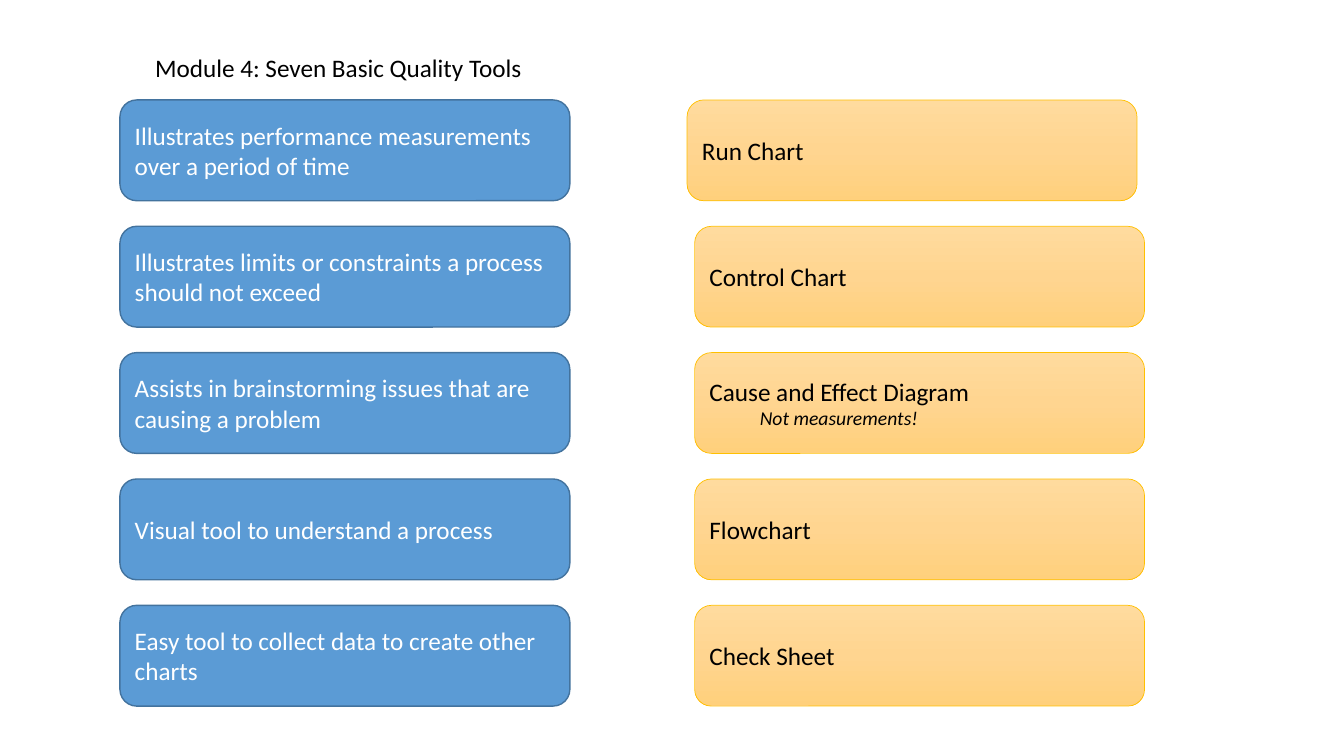
"""Build the slide that matches quality tools to their purposes."""
from copy import deepcopy
from dataclasses import dataclass

from pptx import Presentation
from pptx.dml.color import RGBColor
from pptx.enum import shapes, text
from pptx.oxml import ns
from pptx.util import Pt

BLUE = RGBColor(0x5B, 0x9B, 0xD5)
BLUE_EDGE = RGBColor(0x43, 0x73, 0x9E)
GOLD_EDGE = RGBColor(0xFF, 0xC0, 0x00)
GOLD_STOPS = (
    (0, RGBColor(0xFF, 0xDB, 0x9E)),
    (0.5, RGBColor(0xFF, 0xD5, 0x90)),
    (1, RGBColor(0xFF, 0xD0, 0x7C)),
)
WHITE = RGBColor(0xFF, 0xFF, 0xFF)
BLACK = RGBColor(0x00, 0x00, 0x00)

FONT = "Calibri"
PURPOSE_LEFT = 85.7
TOOL_LEFT = 496.2
FIRST_TOP = 71.4
ROW_PITCH = 90.25
BOX_WIDTH, BOX_HEIGHT = 321.4, 72


@dataclass(frozen=True)
class Match:
    purpose: str
    tool: str
    note: str = ""
    tool_left: float = TOOL_LEFT


MATCHES = (
    Match("Illustrates performance measurements over a period of time", "Run Chart",
          tool_left=490.8),
    Match("Illustrates limits or constraints a process should not exceed", "Control Chart"),
    Match("Assists in brainstorming issues that are causing a problem",
          "Cause and Effect Diagram", note="\tNot measurements!"),
    Match("Visual tool to understand a process", "Flowchart"),
    Match("Easy tool to collect data to create other charts", "Check Sheet"),
)


def write(paragraph, words: str, color: RGBColor, size: float = 18,
          italic: bool = False) -> None:
    paragraph.text = words
    paragraph.alignment = text.PP_ALIGN.LEFT
    font = paragraph.font
    font.name, font.size, font.italic = FONT, Pt(size), italic
    font.color.rgb = color


def add_box(slide, left: float, top: float, edge: RGBColor, edge_width: float):
    shape = slide.shapes.add_shape(shapes.MSO_SHAPE.ROUNDED_RECTANGLE, Pt(left), Pt(top),
                                   Pt(BOX_WIDTH), Pt(BOX_HEIGHT))
    shape.shadow.inherit = False
    shape.line.color.rgb = edge
    shape.line.width = Pt(edge_width)
    shape.text_frame.word_wrap = True
    shape.text_frame.vertical_anchor = text.MSO_ANCHOR.MIDDLE
    return shape


def fill_gold(shape) -> None:
    shape.fill.gradient()
    shape.fill.gradient_angle = 270
    stop_list = shape._element.spPr.find(".//" + ns.qn("a:gsLst"))
    stop_list.insert(1, deepcopy(stop_list[0]))
    for stop, (position, color) in zip(shape.fill.gradient_stops, GOLD_STOPS):
        stop.position = position
        stop.color.rgb = color


def add_match(slide, match: Match, top: float) -> None:
    purpose = add_box(slide, PURPOSE_LEFT, top, BLUE_EDGE, 1)
    purpose.fill.solid()
    purpose.fill.fore_color.rgb = BLUE
    write(purpose.text_frame.paragraphs[0], match.purpose, WHITE)

    tool = add_box(slide, match.tool_left, top, GOLD_EDGE, 0.5)
    fill_gold(tool)
    write(tool.text_frame.paragraphs[0], match.tool, BLACK)
    if match.note:
        write(tool.text_frame.add_paragraph(), match.note, BLACK, 14, True)


def add_title(slide) -> None:
    title = slide.shapes.add_textbox(Pt(103.7), Pt(34), Pt(279.4), Pt(29))
    title.text_frame.word_wrap = False
    title.text_frame.auto_size = text.MSO_AUTO_SIZE.SHAPE_TO_FIT_TEXT
    write(title.text_frame.paragraphs[0], "Module 4: Seven Basic Quality Tools", BLACK)


def main() -> None:
    presentation = Presentation()
    presentation.slide_width, presentation.slide_height = Pt(960), Pt(540)
    slide = presentation.slides.add_slide(presentation.slide_layouts[6])
    add_title(slide)
    for row, match in enumerate(MATCHES):
        add_match(slide, match, FIRST_TOP + row * ROW_PITCH)
    presentation.save("out.pptx")


if __name__ == "__main__":
    main()
